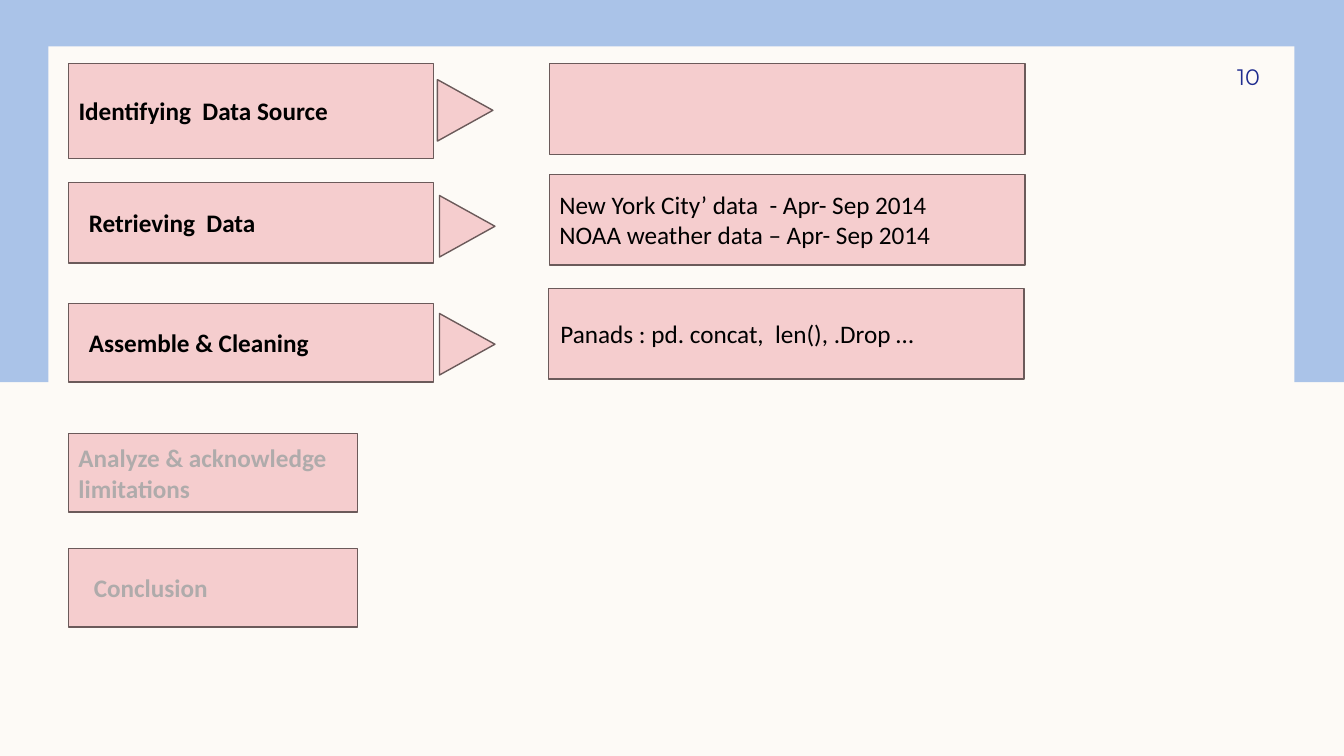
import dataclasses

import pptx
import pptx.dml.color
import pptx.enum.shapes
import pptx.enum.text
import pptx.util

Pt = pptx.util.Pt
Shape = pptx.enum.shapes.MSO_SHAPE
Align = pptx.enum.text.PP_ALIGN
Anchor = pptx.enum.text.MSO_ANCHOR


@dataclasses.dataclass(frozen=True)
class Theme:
    paper: str = "FDFAF6"
    sky: str = "AAC3E8"
    pink: str = "F5CDCE"
    edge: str = "6B5A5A"
    ink: str = "000000"
    faint: str = "AFABAB"
    navy: str = "1F2C8F"
    body: str = "Calibri"
    label: str = "Montserrat"
    size: float = 18
    small: float = 16


THEME = Theme()
STEP_X, STEP_W, LATER_W = 49, 260.6, 206.6
NOTE_W, NOTE_H = 339.8, 64.8
ARROW_W, ARROW_H = 43.9, 39.6

# Step: text, top, height, left inset; arrow: left, top; note: text, left, top, inset
ROWS = [
    (("Identifying  Data Source", 45.4, 67.7, 7.2), (310.3, 59),
     ("", 392.4, 45.4, 7.2)),
    (("Retrieving  Data", 130.3, 57.6, 14.4), (311.8, 141.8),
     ("New York City’ data  - Apr- Sep 2014 \vNOAA weather data – Apr- Sep 2014",
      392.4, 124.6, 7.2)),
    (("Assemble & Cleaning", 216.7, 56.2, 14.4), (311.8, 226.1),
     ("Panads : pd. concat,  len(), .Drop …", 391.7, 205.9, 8.6)),
]
LATER = [
    ("Analyze & acknowledge limitations", 309.6, 56.2, 7.2),
    ("Conclusion", 391.7, 56.2, 18),
]


def rgb(code):
    return pptx.dml.color.RGBColor.from_string(code)


def draw(slide, kind, box, fill, line=None):
    """Add a flat preset shape in a box of left, top, width, height."""
    shape = slide.shapes.add_shape(kind, *map(Pt, box))
    shape.shadow.inherit = False
    shape.fill.solid()
    shape.fill.fore_color.rgb = rgb(fill)
    if line:
        shape.line.color.rgb = rgb(line)
        shape.line.width = Pt(1)
    else:
        shape.line.fill.background()
    return shape


def write(shape, text, font, size, color, bold=False, align=Align.LEFT, inset=7.2):
    frame = shape.text_frame
    frame.word_wrap = True
    frame.vertical_anchor = Anchor.MIDDLE
    frame.margin_left = Pt(inset)
    para = frame.paragraphs[0]
    para.text = text
    para.alignment = align
    for run in para.runs:
        run.font.name = font
        run.font.size = Pt(size)
        run.font.bold = bold
        run.font.color.rgb = rgb(color)


def card(slide, box, text, color, bold, inset):
    """Add a pink outlined rectangle that holds its own text."""
    shape = draw(slide, Shape.RECTANGLE, box, THEME.pink, THEME.edge)
    if text:
        write(shape, text, THEME.body, THEME.size, color, bold, inset=inset)


def frame(slide, box):
    """Add the blue upper band and the paper panel that covers its middle."""
    left, top, wide, high = box
    draw(slide, Shape.RECTANGLE, (left, top, wide, 272.9), THEME.sky)
    panel = (left + 34.6, top + 33.1, wide - 70, high - 65.5)
    draw(slide, Shape.RECTANGLE, panel, THEME.paper)


def number(slide, box, text):
    """Add the page number."""
    area = slide.shapes.add_textbox(*map(Pt, box))
    write(area, text, THEME.label, THEME.small, THEME.navy, align=Align.RIGHT)
    area.text_frame.margin_right = 0


def row(slide, step, arrow, note):
    """Add a step, the arrow after it and the note it points to."""
    text, top, high, inset = step
    card(slide, (STEP_X, top, STEP_W, high), text, THEME.ink, True, inset)
    tip = draw(slide, Shape.ISOSCELES_TRIANGLE, (*arrow, ARROW_W, ARROW_H),
               THEME.pink, THEME.edge)
    tip.rotation = 90
    text, left, top, inset = note
    card(slide, (left, top, NOTE_W, NOTE_H), text, THEME.ink, False, inset)


def main():
    deck = pptx.Presentation()
    deck.slide_width, deck.slide_height = Pt(960), Pt(540)
    slide = deck.slides.add_slide(deck.slide_layouts[6])
    slide.background.fill.solid()
    slide.background.fill.fore_color.rgb = rgb(THEME.paper)
    frame(slide, (0, 0, 960, 540))
    number(slide, (815.8, 36, 84.2, 37.4), "10")
    for parts in ROWS:
        row(slide, *parts)
    for text, top, high, inset in LATER:
        card(slide, (STEP_X, top, LATER_W, high), text, THEME.faint, True, inset)
    deck.save("out.pptx")


if __name__ == "__main__":
    main()
